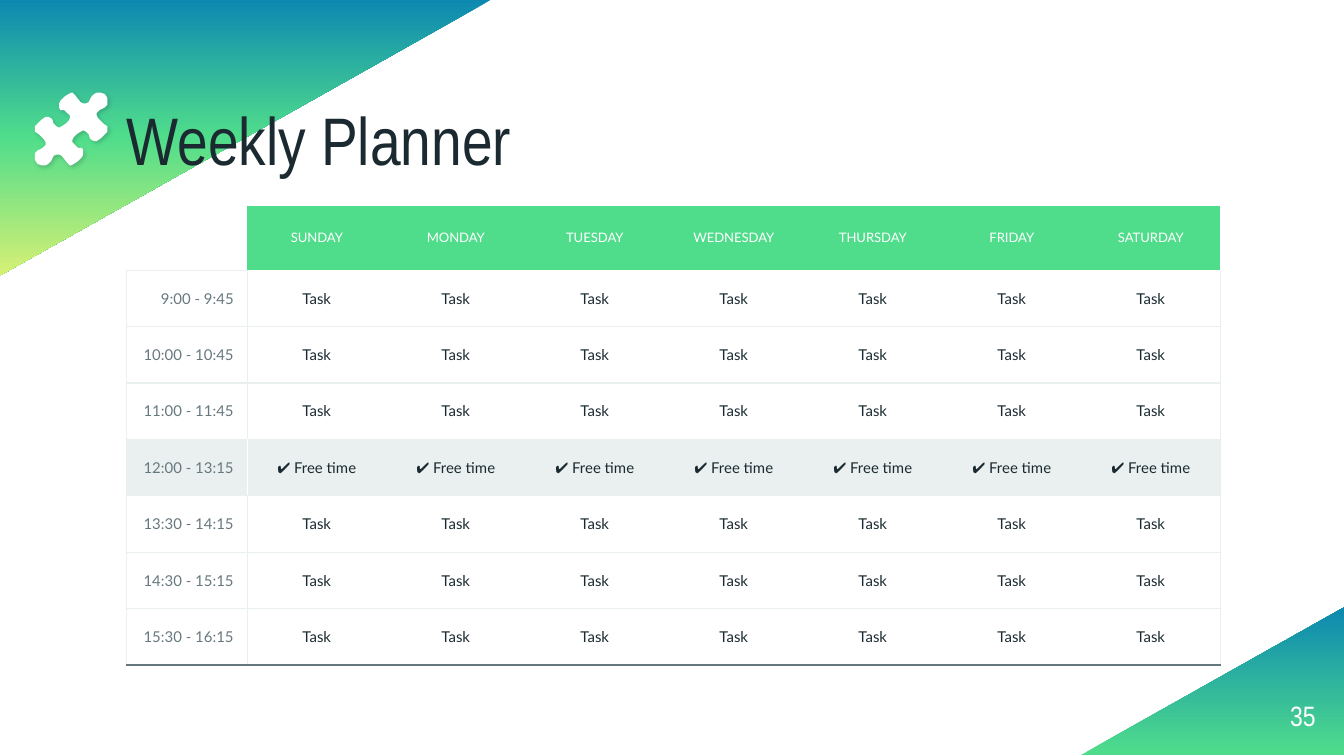
from lxml import etree
from pptx import Presentation
from pptx.dml.color import RGBColor as Rgb
from pptx.enum.shapes import MSO_SHAPE as Shape
from pptx.enum.text import MSO_ANCHOR as Anchor, MSO_AUTO_SIZE as Auto, PP_ALIGN as Align
from pptx.oxml import parse_xml
from pptx.oxml.ns import qn
from pptx.util import Inches, Pt

TITLE = "Weekly Planner"
PAGE = "35"
DAYS = ["SUNDAY", "MONDAY", "TUESDAY", "WEDNESDAY", "THURSDAY", "FRIDAY", "SATURDAY"]
SLOTS = [
    ("9:00 - 9:45", "Task"),
    ("10:00 - 10:45", "Task"),
    ("11:00 - 11:45", "Task"),
    ("12:00 - 13:15", "✔ Free time"),
    ("13:30 - 14:15", "Task"),
    ("14:30 - 15:15", "Task"),
    ("15:30 - 16:15", "Task"),
]
THEME = {
    "ink": "1A2A30", "gray": "66787E", "pale": "E9F0EF", "white": "FFFFFF",
    "green": "50DD8B", "blue": "0D89B1", "lime": "D6F075",
    "head": "Arial Narrow", "body": "Lato",
    "title": 36, "page": 15, "day": 7, "cell": 8, "line": 0.75,
}
WEDGES = [
    ((0.8, -0.8, 2.05, 3.65), 90, ["blue", "green", "lime"]),
    ((8.47, 4.09, 1.1, 1.96), 270, ["green", "blue"]),
]
HALF = [
    (53, 69), (51, 70), (48, 72), (45, 75), (44, 77), (44, 80), (45, 82), (48, 82.5),
    (50, 83.5), (51.5, 85.5), (52, 87.5), (51, 90), (49, 92.5), (46.5, 94.5), (44, 95),
    (41.5, 94.5), (39.5, 92), (39, 89), (38, 87.5), (36, 87), (33.5, 87), (31, 89),
    (28, 92), (26.5, 94.5), (26, 96), (26.5, 98), (29, 100.5), (33, 104), (34.5, 106),
    (34, 108), (32.5, 110), (30, 111), (28, 112), (26.5, 113.5), (26, 116), (26.5, 119),
    (28.5, 121.5), (31, 123), (34, 123), (36.5, 122.5), (38, 120), (39, 117.5),
    (40, 116), (42, 115), (44, 115), (46, 116.5), (50, 121), (51.5, 123),
]
LEFT, TOP, WIDE = 0.94, 1.53, 8.14
TIME_W, HEAD_H, ROW_H = 0.9, 0.48, 0.42
NS = 'xmlns:a="http://schemas.openxmlformats.org/drawingml/2006/main"'


def color(name):
    return Rgb.from_string(THEME[name])


def write(frame, text, size, tint, font="body", align=Align.LEFT, space=None):
    para = frame.paragraphs[0]
    para.alignment = align
    para.line_spacing = space
    run = para.add_run()
    run.text = text
    run.font.size = Pt(THEME[size])
    run.font.name = THEME[font]
    run.font.color.rgb = color(tint)


def fit(frame, anchor):
    frame.margin_left = frame.margin_right = frame.margin_top = frame.margin_bottom = 0
    frame.word_wrap = True
    frame.auto_size = Auto.NONE
    frame.vertical_anchor = anchor


def wedge(shapes, box, turn, tints):
    part = shapes.add_shape(Shape.RIGHT_TRIANGLE, *map(Inches, box))
    part.rotation = turn
    part.shadow.inherit = False
    part.line.fill.background()
    step = 100000 // (len(tints) - 1)
    stops = "".join(
        f'<a:gs pos="{i * step}"><a:srgbClr val="{THEME[t]}"/></a:gs>'
        for i, t in enumerate(tints))
    grad = parse_xml(f'<a:gradFill {NS} rotWithShape="1"><a:gsLst>{stops}</a:gsLst>'
                     '<a:lin ang="0" scaled="0"/></a:gradFill>')
    part._element.spPr.find(qn("a:prstGeom")).addnext(grad)


def puzzle(shapes):
    points = HALF + [(106 - x, 192 - y) for x, y in HALF]
    pen = shapes.build_freeform(*points[0], scale=Inches(0.01))
    pen.add_line_segments(points[1:], close=True)
    icon = pen.convert_to_shape()
    icon.fill.solid()
    icon.fill.fore_color.rgb = color("white")
    icon.line.fill.background()
    icon.shadow.inherit = False
    glow = icon._element.spPr.find(qn("a:effectLst"))
    glow.append(parse_xml(
        f'<a:outerShdw {NS} blurRad="{Pt(2.2)}" dist="{Pt(1.5)}" dir="2700000" '
        f'algn="bl" rotWithShape="0"><a:srgbClr val="{THEME["ink"]}">'
        '<a:alpha val="20000"/></a:srgbClr></a:outerShdw>'))


def border(cell, sides):
    props = cell._tc.get_or_add_tcPr()
    for side in "LRTB":
        line = etree.SubElement(props, qn(f"a:ln{side}"), w=str(Pt(THEME["line"])))
        if side in sides:
            fill = etree.SubElement(line, qn("a:solidFill"))
            etree.SubElement(fill, qn("a:srgbClr"), val=THEME[sides[side]])
        else:
            etree.SubElement(line, qn("a:noFill"))


def style(cell, sides, fill=None):
    cell.margin_left = cell.margin_right = Inches(0.1)
    cell.margin_top = cell.margin_bottom = Inches(0.1)
    cell.vertical_anchor = Anchor.MIDDLE
    border(cell, sides)
    if fill:
        cell.fill.solid()
        cell.fill.fore_color.rgb = color(fill)
    else:
        cell.fill.background()


def planner(shapes):
    rows, cols = len(SLOTS) + 1, len(DAYS) + 1
    high = HEAD_H + ROW_H * len(SLOTS)
    grid = shapes.add_table(rows, cols, *map(Inches, (LEFT, TOP, WIDE, high))).table
    grid.first_row = grid.horz_banding = False
    grid._tbl.tblPr.find(qn("a:tableStyleId")).text = "{2D5ABB26-0587-4C30-8999-92F81FD0307C}"
    for i, col in enumerate(grid.columns):
        col.width = Inches((WIDE - TIME_W) / len(DAYS) if i else TIME_W)
    for i, row in enumerate(grid.rows):
        row.height = Inches(ROW_H if i else HEAD_H)

    blank = grid.cell(0, 0)
    style(blank, {"B": "pale"})
    blank.margin_top = blank.margin_bottom = 0
    for c, day in enumerate(DAYS, 1):
        cell = grid.cell(0, c)
        style(cell, {}, "green")
        write(cell.text_frame, day, "day", "white", align=Align.CENTER)

    for r, (time, task) in enumerate(SLOTS, 1):
        free = task != "Task"
        for c in range(cols):
            cell = grid.cell(r, c)
            sides = {"B": "gray" if r == rows - 1 else "pale"}
            if c == 0 or r > 1:
                sides["T"] = "pale"
            if c < 2:
                sides["L"] = "white" if free and c else "pale"
            if c in (0, cols - 1):
                sides["R"] = "white" if free and not c else "pale"
            style(cell, sides, "pale" if free else None)
            if c:
                write(cell.text_frame, task, "cell", "ink", align=Align.CENTER)
            else:
                write(cell.text_frame, time, "cell", "gray", align=Align.RIGHT)


def main():
    deck = Presentation()
    deck.slide_width, deck.slide_height = Inches(10), Inches(10 * 9 / 16)
    slide = deck.slides.add_slide(deck.slide_layouts[5])
    shapes = slide.shapes
    for item in WEDGES:
        wedge(shapes, *item)

    title = shapes.title
    title.left, title.top, title.width, title.height = map(Inches, (LEFT, 0.91, WIDE, 0.43))
    fit(title.text_frame, Anchor.BOTTOM)
    write(title.text_frame, TITLE, "title", "ink", font="head", space=0.9)
    shapes._spTree.append(title._element)

    page = shapes.add_textbox(*map(Inches, (9.19, 5.11, 0.6, 0.43))).text_frame
    fit(page, Anchor.MIDDLE)
    write(page, PAGE, "page", "white", font="head", align=Align.RIGHT)
    planner(shapes)
    puzzle(shapes)
    deck.save("out.pptx")


if __name__ == "__main__":
    main()
